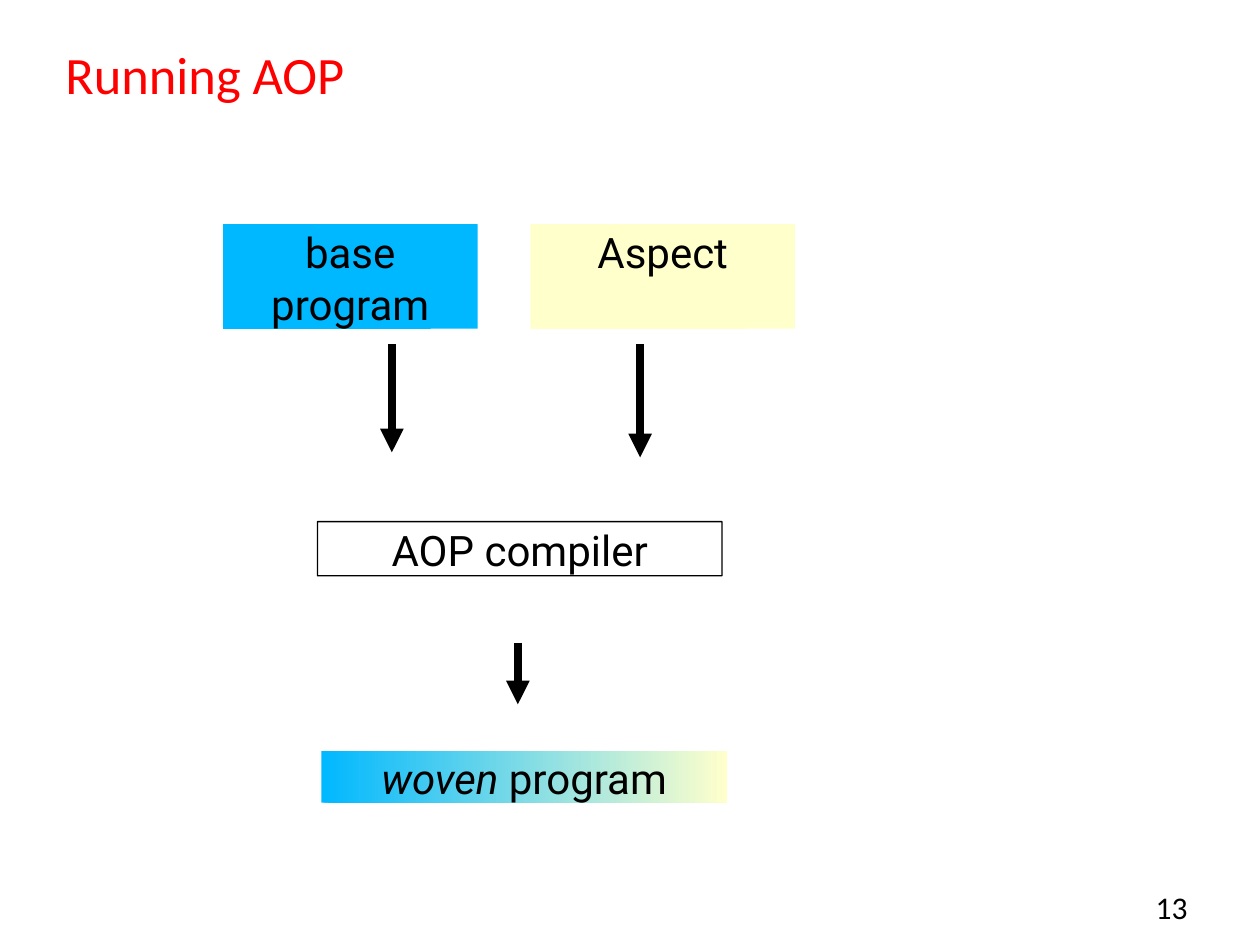
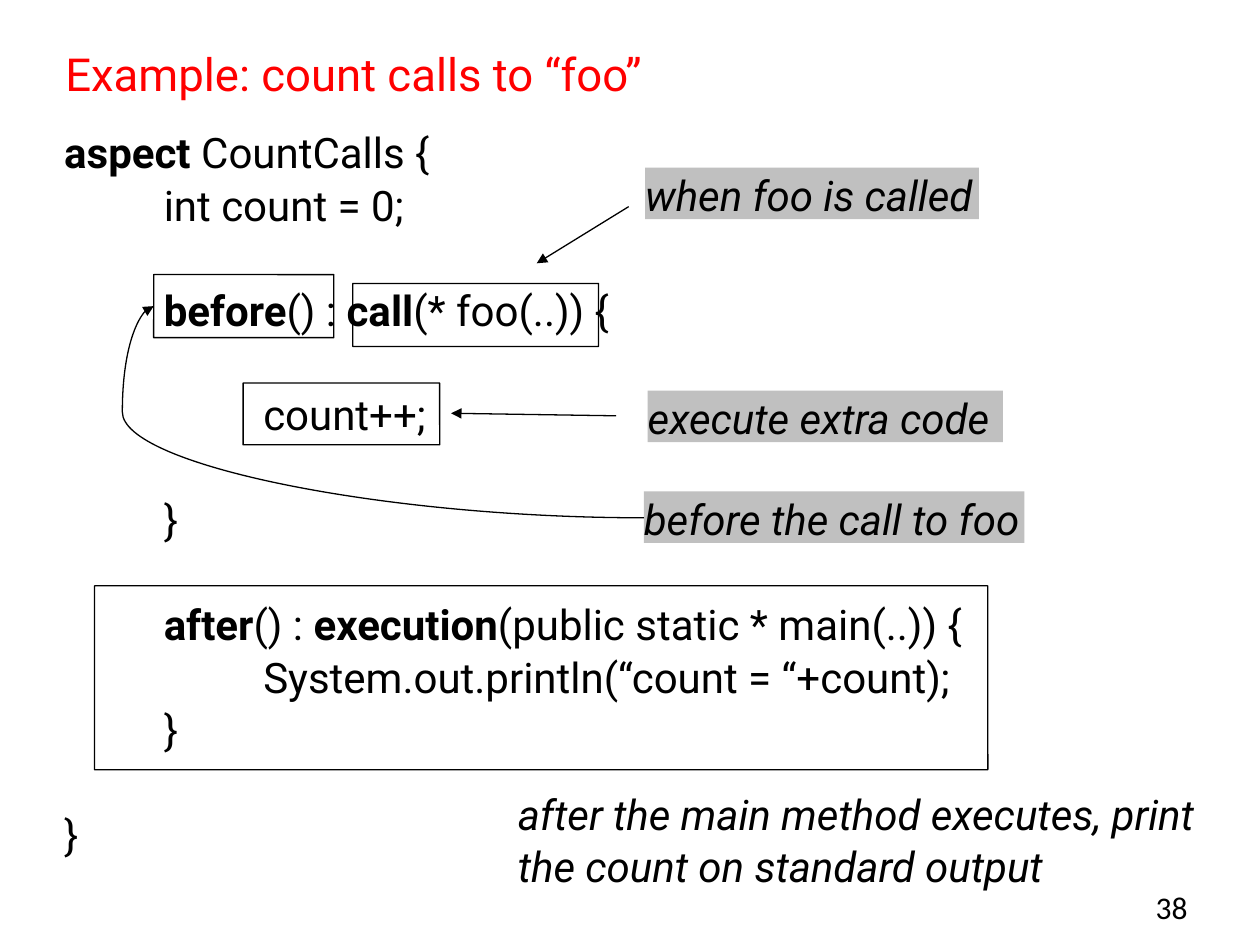
from dataclasses import dataclass

from lxml.etree import SubElement
from pptx import Presentation
from pptx.dml.color import RGBColor
from pptx.enum.shapes import MSO_CONNECTOR, MSO_SHAPE
from pptx.enum.text import MSO_ANCHOR, PP_ALIGN
from pptx.oxml.ns import qn
from pptx.util import Inches, Pt


@dataclass(frozen=True)
class Theme:
    black: str = "000000"
    title: str = "FF0000"
    base: str = "00B8FF"
    aspect: str = "FFFFCC"
    note: str = "C0C0C0"
    body_font: str = "Roboto"
    footer_font: str = "Calibri"
    body_size: int = 24
    footer_size: int = 18
    line_spacing: float = 1.04
    blank_line: int = 30
    tab: float = 0.79
    thin: float = 0.75
    thick: float = 4.5


THEME = Theme()


def write_text(sp, lines, font=THEME.body_font, size=THEME.body_size, color=THEME.black,
               emphasis="italic", align=PP_ALIGN.LEFT, anchor=MSO_ANCHOR.TOP,
               spacing=THEME.line_spacing, inset=0, tabs=0, gaps=()):
    """Fill a shape; parts between bars are emphasised, lines in gaps get space before."""
    tf = sp.text_frame
    tf.word_wrap = True
    tf.vertical_anchor = anchor
    tf.margin_left = tf.margin_right = Inches(inset)
    tf.margin_top = tf.margin_bottom = Inches(inset / 2)
    for i, line in enumerate(lines):
        p = tf.add_paragraph() if i else tf.paragraphs[0]
        p.alignment = align
        p.line_spacing = spacing
        if i in gaps:
            p.space_before = Pt(THEME.blank_line)
        if tabs:
            tab_list = SubElement(p._p.get_or_add_pPr(), qn("a:tabLst"))
            for n in range(1, tabs + 1):
                SubElement(tab_list, qn("a:tab"), pos=str(Inches(n * THEME.tab)), algn="l")
        for j, part in enumerate(line.split("|")):
            if part:
                r = p.add_run()
                r.text = part
                r.font.name = font
                r.font.size = Pt(size)
                r.font.color.rgb = RGBColor.from_string(color)
                setattr(r.font, emphasis, j % 2 == 1)


class Deck:
    def __init__(self, theme):
        self.theme = theme
        self.prs = Presentation()
        self.prs.slide_width, self.prs.slide_height = Inches(10), Inches(7.5)
        self.slide = None

    def new_slide(self, title, number, **title_format):
        self.slide = self.prs.slides.add_slide(self.prs.slide_layouts[6])
        t = self.theme
        self.text(8.83, 7, 0.75, 0.5, [f"{number} "], font=t.footer_font,
                  size=t.footer_size, align=PP_ALIGN.RIGHT, spacing=1, inset=0.1)
        self.text(0.42, 0.33, 9.08, 0.5, [title], color=t.title, spacing=1,
                  anchor=MSO_ANCHOR.MIDDLE, inset=0.1, **title_format)

    def text(self, x, y, w, h, lines, **text_format):
        sp = self.slide.shapes.add_textbox(Inches(x), Inches(y), Inches(w), Inches(h))
        write_text(sp, lines, **text_format)

    def box(self, x, y, w, h, lines=(), fills=(), outlined=False,
            shape=MSO_SHAPE.ROUNDED_RECTANGLE, **text_format):
        """Add a box: no fill, one solid colour, or a gradient between two."""
        sp = self.slide.shapes.add_shape(shape, Inches(x), Inches(y), Inches(w), Inches(h))
        sp.shadow.inherit = False
        if shape == MSO_SHAPE.ROUNDED_RECTANGLE:
            sp.adjustments[0] = 0.002
        if len(fills) == 2:
            sp.fill.gradient()
            sp.fill.gradient_angle = 0
            for position, (stop, color) in enumerate(zip(sp.fill.gradient_stops, fills)):
                stop.position = position
                stop.color.rgb = RGBColor.from_string(color)
        elif fills:
            sp.fill.solid()
            sp.fill.fore_color.rgb = RGBColor.from_string(fills[0])
        else:
            sp.fill.background()
        if outlined:
            sp.line.color.rgb = RGBColor.from_string(self.theme.black)
            sp.line.width = Pt(self.theme.thin)
        else:
            sp.line.fill.background()
        write_text(sp, lines, **text_format)

    def stage(self, x, y, w, h, lines, anchor=MSO_ANCHOR.MIDDLE, **box_format):
        self.box(x, y, w, h, lines, align=PP_ALIGN.CENTER, anchor=anchor, **box_format)

    def note(self, x, y, w, line):
        self.box(x, y, w, 0.41, [f"|{line}|"], fills=[self.theme.note],
                 shape=MSO_SHAPE.RECTANGLE)

    def arrow(self, start, end, width, bend=None):
        """Draw a straight arrow, or a curved one whose bend is a share of its width."""
        kind = MSO_CONNECTOR.STRAIGHT if bend is None else MSO_CONNECTOR.CURVE
        cxn = self.slide.shapes.add_connector(kind, *map(Inches, start + end))
        cxn.line.color.rgb = RGBColor.from_string(self.theme.black)
        cxn.line.width = Pt(width)
        SubElement(cxn.line._get_or_add_ln(), qn("a:tailEnd"), type="triangle")
        sp_pr = cxn._element.spPr
        SubElement(sp_pr, qn("a:effectLst"))
        if bend is not None:
            guides = sp_pr.find(qn("a:prstGeom")).get_or_add_avLst()
            SubElement(guides, qn("a:gd"), name="adj1", fmla=f"val {round(bend * 100000)}")


def running_aop(deck):
    t = deck.theme
    deck.new_slide("Running AOP", 13, font="Calibri", size=30)
    deck.stage(1.77, 1.78, 2.02, 0.83, ["base", "program"], fills=[t.base])
    deck.stage(4.21, 1.78, 2.1, 0.83, ["Aspect"], fills=[t.aspect], anchor=MSO_ANCHOR.TOP)
    deck.stage(2.52, 4.14, 3.21, 0.43, ["AOP compiler"], outlined=True)
    deck.stage(2.55, 5.96, 3.22, 0.41, ["|woven| program"], fills=[t.base, t.aspect])
    for x, top, bottom in [(3.11, 2.73, 3.59), (5.08, 2.73, 3.63), (4.11, 5.1, 5.59)]:
        deck.arrow((x, top), (x, bottom), t.thick)


def count_calls(deck):
    t = deck.theme
    deck.new_slide("Example: count calls to “foo”", 38, size=26)
    code = [
        "|aspect| CountCalls {",
        "\tint count = 0;",
        "\t|before|() : |call|(* foo(..)) {",
        "\t\tcount++;",
        "\t}",
        "\t|after|() : |execution|(public static * main(..)) {",
        "\t\tSystem.out.println(“count = “+count);",
        "\t}",
        "}",
    ]
    deck.text(0.51, 0.99, 7.3, 5.81, code, emphasis="bold", tabs=2, gaps=(2, 3, 4, 5, 8))

    code_frames = [(1.22, 2.18, 1.43, 0.5), (2.8, 2.25, 1.95, 0.5),
                   (1.93, 3.04, 1.56, 0.49), (0.75, 4.65, 7.09, 1.46)]
    for frame in code_frames:
        deck.box(*frame, outlined=True)

    deck.note(5.12, 1.33, 2.65, "when foo is called")
    deck.note(5.14, 3.1, 2.82, "execute extra code")
    deck.note(5.11, 3.9, 3.02, "before the call to foo")
    deck.text(4.11, 6.24, 5.5, 0.83, ["|after the main method executes, print|",
                                      "|the count on standard output|"])

    deck.arrow((4.99, 1.64), (4.26, 2.09), t.thin)
    deck.arrow((4.89, 3.3), (3.58, 3.28), t.thin)
    deck.arrow((5.11, 4.11), (1.22, 2.43), t.thin, bend=1.064)


def main():
    deck = Deck(THEME)
    running_aop(deck)
    count_calls(deck)
    deck.prs.save("out.pptx")


if __name__ == "__main__":
    main()
